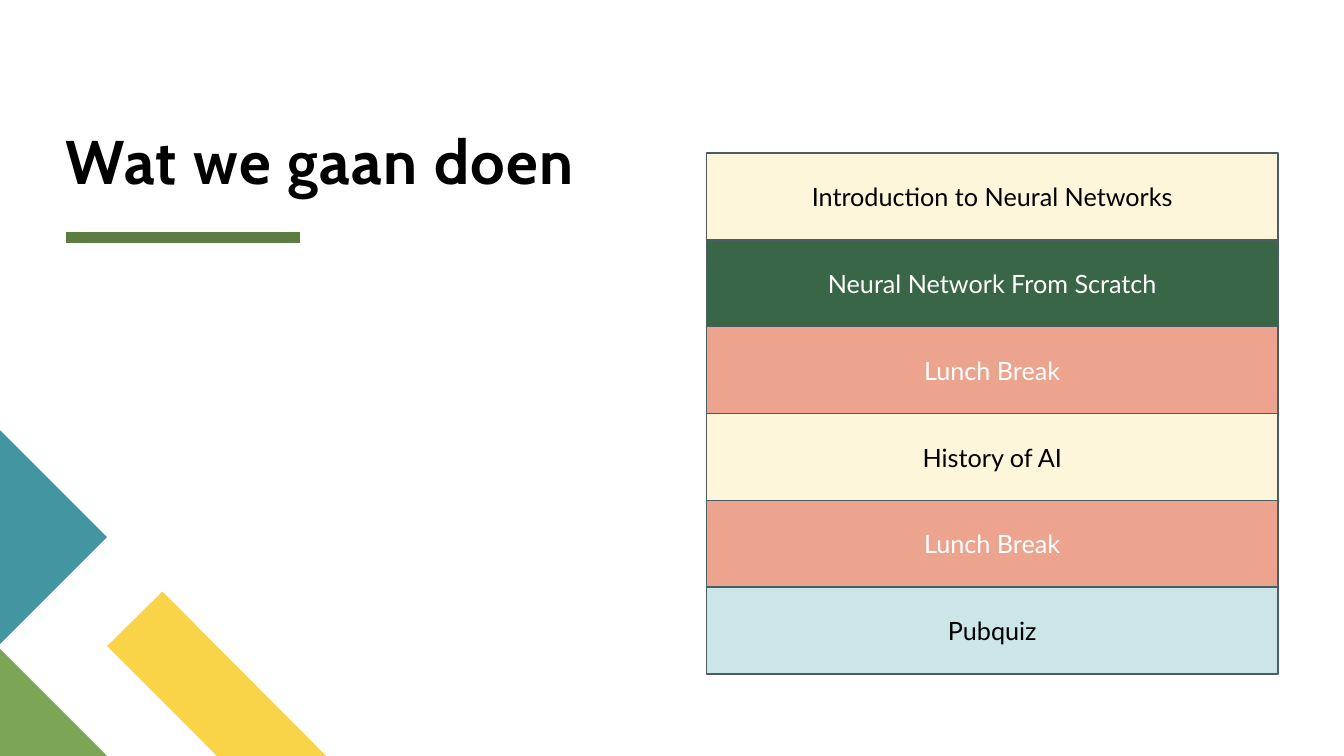
from dataclasses import dataclass

from lxml.etree import SubElement
from pptx import Presentation
from pptx.dml.color import RGBColor
from pptx.enum.shapes import MSO_CONNECTOR as Connector, MSO_SHAPE as Shape
from pptx.enum.text import MSO_ANCHOR as Anchor, MSO_AUTO_SIZE as AutoSize, PP_ALIGN as Align
from pptx.oxml.ns import qn
from pptx.slide import Slide
from pptx.text.text import TextFrame
from pptx.util import Pt


@dataclass(frozen=True)
class Theme:
    black: str = "000000"
    white: str = "FFFFFF"
    cream: str = "FEF6DA"
    forest: str = "386647"
    salmon: str = "ECA48E"
    ice: str = "CBE5E9"
    outline: str = "4A5D60"
    rule: str = "5D7D40"
    yellow: str = "F9D448"
    green: str = "7CA655"
    teal: str = "4495A2"
    title_font: str = "Cabin"
    body_font: str = "Lato"
    title_size: float = 44
    body_size: float = 18


THEME = Theme()


@dataclass(frozen=True)
class AgendaItem:
    label: str
    fill: str
    ink: str


@dataclass(frozen=True)
class CornerPiece:
    fill: str
    points: tuple[tuple[float, float], ...]


AGENDA = (
    AgendaItem("Introduction to Neural Networks", THEME.cream, THEME.black),
    AgendaItem("Neural Network From Scratch", THEME.forest, THEME.white),
    AgendaItem("Lunch Break", THEME.salmon, THEME.white),
    AgendaItem("History of AI", THEME.cream, THEME.black),
    AgendaItem("Lunch Break", THEME.salmon, THEME.white),
    AgendaItem("Pubquiz", THEME.ice, THEME.black),
)
AGENDA_LEFT, AGENDA_TOP = 504.7, 109.4
AGENDA_WIDTH, ROW_HEIGHT = 408.2, 62

CORNER_PIECES = (
    CornerPiece(THEME.yellow, ((233, 540), (155, 540), (76.5, 461.5), (116, 422.5))),
    CornerPiece(THEME.green, ((76.5, 540), (0, 540), (0, 463.5))),
    CornerPiece(THEME.teal, ((0, 307.2), (76.5, 383.7), (0, 460.2))),
)


def rgb(colour: str) -> RGBColor:
    return RGBColor.from_string(colour)


def write(frame: TextFrame, text: str, font: str, size: float, colour: str,
          align: Align, bold: bool = False, spacing: float = 0) -> None:
    """Fill the first paragraph with one run; spacing is between letters, in points."""
    para = frame.paragraphs[0]
    para.alignment = align
    span = para.add_run()
    span.text = text
    span.font.name = font
    span.font.size = Pt(size)
    span.font.bold = bold
    span.font.color.rgb = rgb(colour)
    if spacing:
        span.font._element.set("spc", str(round(spacing * 100)))


def add_title(page: Slide, text: str) -> None:
    title = page.shapes.title
    title.left, title.top, title.width, title.height = Pt(46.8), Pt(7.9), Pt(856), Pt(132.5)
    frame = title.text_frame
    frame.margin_left = frame.margin_top = frame.margin_right = frame.margin_bottom = 0
    frame.vertical_anchor = Anchor.BOTTOM
    frame.auto_size = AutoSize.NONE
    frame.word_wrap = True
    write(frame, text, THEME.title_font, THEME.title_size, THEME.black,
          Align.LEFT, bold=True, spacing=1)
    frame.paragraphs[0].line_spacing = 0.8


def add_title_rule(page: Slide) -> None:
    rule = page.shapes.add_connector(Connector.STRAIGHT, Pt(46.8), Pt(169.4), Pt(214.6), Pt(169.4))
    rule.line.color.rgb = rgb(THEME.rule)
    rule.line.width = Pt(8)
    SubElement(rule._element.spPr, qn("a:effectLst"))


def add_corner_piece(page: Slide, piece: CornerPiece) -> None:
    start, *others = [(Pt(x), Pt(y)) for x, y in piece.points]
    builder = page.shapes.build_freeform(*start)
    builder.add_line_segments(others, close=True)
    shape = builder.convert_to_shape()
    shape.shadow.inherit = False
    shape.fill.solid()
    shape.fill.fore_color.rgb = rgb(piece.fill)
    shape.line.fill.background()


def add_agenda_row(page: Slide, item: AgendaItem, row: int) -> None:
    box = page.shapes.add_shape(Shape.RECTANGLE, Pt(AGENDA_LEFT), Pt(AGENDA_TOP + row * ROW_HEIGHT),
                                Pt(AGENDA_WIDTH), Pt(ROW_HEIGHT))
    box.shadow.inherit = False
    box.fill.solid()
    box.fill.fore_color.rgb = rgb(item.fill)
    box.line.color.rgb = rgb(THEME.outline)
    box.line.width = Pt(1)
    frame = box.text_frame
    frame.word_wrap = True
    frame.vertical_anchor = Anchor.MIDDLE
    write(frame, item.label, THEME.body_font, THEME.body_size, item.ink, Align.CENTER)


def main() -> None:
    deck = Presentation()
    deck.slide_width, deck.slide_height = Pt(960), Pt(540)
    page = deck.slides.add_slide(deck.slide_layouts.get_by_name("Title Only"))
    page.background.fill.solid()
    page.background.fill.fore_color.rgb = rgb(THEME.white)
    add_title_rule(page)
    add_title(page, "Wat we gaan doen")
    for piece in CORNER_PIECES:
        add_corner_piece(page, piece)
    for row, item in enumerate(AGENDA):
        add_agenda_row(page, item, row)
    deck.save("out.pptx")


if __name__ == "__main__":
    main()
